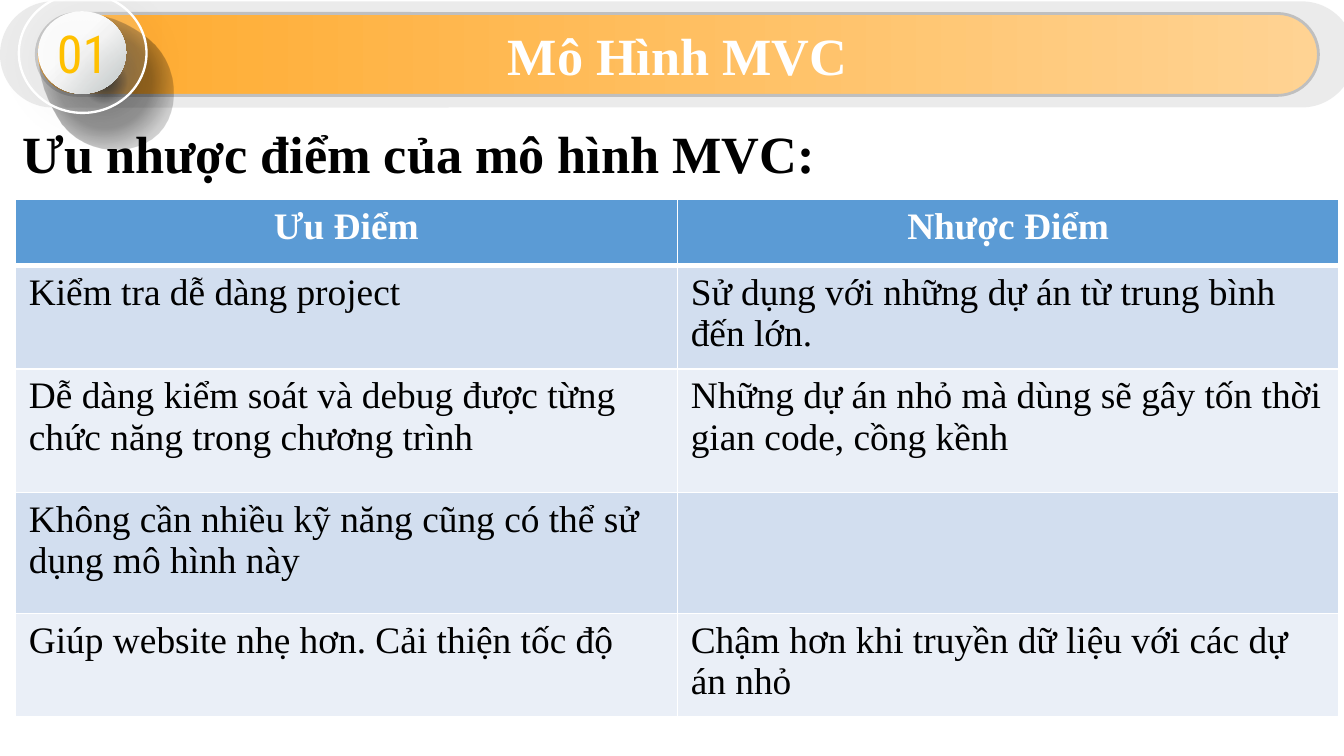
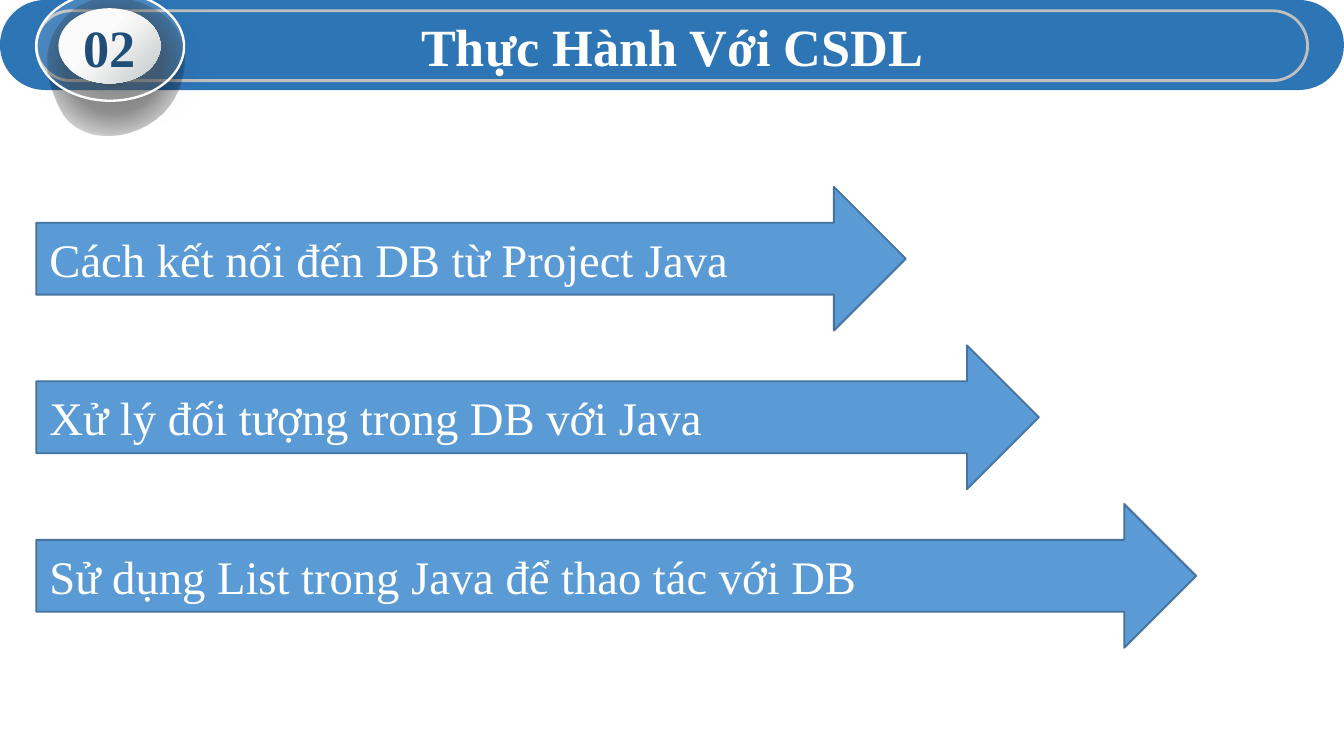
from pptx import Presentation
from pptx.dml.color import RGBColor
from pptx.enum.shapes import MSO_SHAPE
from pptx.enum.text import MSO_ANCHOR, PP_ALIGN
from pptx.oxml.ns import qn
from pptx.util import Inches, Pt
from lxml.etree import SubElement

WHITE = RGBColor(0xFF, 0xFF, 0xFF)
BLACK = RGBColor(0x00, 0x00, 0x00)
SILVER = RGBColor(0xBF, 0xBF, 0xBF)
PALE = RGBColor(0xD9, 0xD9, 0xD9)
PEARL = RGBColor(0xF7, 0xF7, 0xF7)
STEEL = RGBColor(0xB8, 0xC0, 0xC0)
SHADE = RGBColor(0x49, 0x49, 0x49)
ORANGE = RGBColor(0xFF, 0xAA, 0x2D)
PEACH = RGBColor(0xFF, 0xD3, 0x93)
GOLD = RGBColor(0xFF, 0xC0, 0x00)
BLUE = RGBColor(0x2E, 0x75, 0xB6)
NAVY = RGBColor(0x1F, 0x4E, 0x79)
SKY = RGBColor(0x5B, 0x9B, 0xD5)
SLATE = RGBColor(0x43, 0x73, 0x9E)
BANDS = (RGBColor(0xD2, 0xDE, 0xEF), RGBColor(0xEA, 0xEF, 0xF7))

SERIF = "Times New Roman"
COLS, ROWS = 100, 56.25
UNIT = Inches(0.1)

HEADING = {"name": SERIF, "size": Pt(28), "bold": True}
BODY = {"name": SERIF, "size": Pt(20), "bold": False}
STEP = {"name": SERIF, "size": Pt(25)}

HALO_STOPS = [(0, BLACK, 100), (17, BLACK, 46), (34, BLACK, 43), (51, BLACK, 20),
              (65, BLACK, 10), (78, BLACK, 5), (100, BLACK, 0)]
BASE_STOPS = [(0, WHITE, 100), (43, PEARL, 100), (100, STEEL, 100)]
FACE_STOPS = [(11, WHITE, 100), (39, WHITE, 100), (53, PEARL, 100), (100, STEEL, 100)]
HALO_START = (0, 0.5)
HALO_CURVES = [((0.07, 0.23), (0.23, 0), (0.51, 0)),
               ((0.77, 0), (0.96, 0.23), (1, 0.5)),
               ((1.04, 0.77), (0.77, 1), (0.51, 1)),
               ((0.24, 1), (-0.04, 0.77), (0, 0.5))]

PROS_CONS = [
    ("Ưu Điểm", "Nhược Điểm"),
    ("Kiểm tra dễ dàng project", "Sử dụng với những dự án từ trung bình đến lớn."),
    ("Dễ dàng kiểm soát và debug được từng chức năng trong chương trình",
     "Những dự án nhỏ mà dùng sẽ gây tốn thời gian code, cồng kềnh"),
    ("Không cần nhiều kỹ năng cũng có thể sử dụng mô hình này", ""),
    ("Giúp website nhẹ hơn. Cải thiện tốc độ",
     "Chậm hơn khi truyền dữ liệu với các dự án nhỏ"),
]
ROW_HEIGHTS = (4.9, 7.7, 9.2, 9, 7.6)
STEPS = [("Cách kết nối đến DB từ Project Java", 64.7),
         ("Xử lý đối tượng trong DB với Java", 74.6),
         ("Sử dụng List trong Java để thao tác với DB", 86.3)]


def grid(*cells):
    """Turn grid columns and rows into lengths."""
    return [round(c * UNIT) for c in cells]


def within(box, x, y, w, h):
    """Return the part of a box given by shares of its size."""
    left, top, width, height = box
    return left + x * width, top + y * height, w * width, h * height


def add_color(parent, color, alpha=100):
    """Append a colour with an opacity in percent."""
    clr = SubElement(parent, qn("a:srgbClr"), val=str(color))
    if alpha < 100:
        SubElement(clr, qn("a:alpha"), val=str(alpha * 1000))


def paint(sp, fill, angle=0, line=None, width=1, alpha=100):
    """Set a solid or gradient fill, the outline and no shadow."""
    sp.shadow.inherit = False
    if isinstance(fill, list):
        sp.fill.gradient()
        sp.fill.gradient_angle = (360 - angle) % 360
        stops = sp._element.spPr.find(qn("a:gradFill")).find(qn("a:gsLst"))
        stops.clear()
        for pos, color, opacity in fill:
            add_color(SubElement(stops, qn("a:gs"), pos=str(pos * 1000)), color, opacity)
    else:
        sp.fill.solid()
        sp.fill.fore_color.rgb = fill
        if alpha < 100:
            solid = sp._element.spPr.find(qn("a:solidFill"))
            solid.clear()
            add_color(solid, fill, alpha)
    if line is None:
        sp.line.fill.background()
    else:
        sp.line.color.rgb = line
        sp.line.width = Pt(width)


def make_radial(sp):
    """Turn a linear gradient into one that spreads from the centre."""
    grad = sp._element.spPr.find(qn("a:gradFill"))
    grad.remove(grad.find(qn("a:lin")))
    radial = SubElement(grad, qn("a:path"), {"path": "circle"})
    SubElement(radial, qn("a:fillToRect"), {side: "50000" for side in "ltrb"})


def cast_shadow(sp, color, alpha, blur, dist):
    """Give a shape an outer shadow towards the lower right."""
    effects = sp._element.spPr.find(qn("a:effectLst"))
    shadow = SubElement(effects, qn("a:outerShdw"), blurRad=str(Pt(blur)),
                        dist=str(Pt(dist)), dir=str(45 * 60000), rotWithShape="0")
    add_color(shadow, color, alpha)


def write(tf, text, color, style, align=PP_ALIGN.LEFT, anchor=MSO_ANCHOR.MIDDLE):
    """Write one formatted paragraph."""
    tf.vertical_anchor = anchor
    p = tf.paragraphs[0]
    p.alignment = align
    r = p.add_run()
    r.text = text
    for key, value in style.items():
        setattr(r.font, key, value)
    r.font.color.rgb = color


def add_shape(slide, kind, box, fill, **look):
    """Add a painted preset shape."""
    sp = slide.shapes.add_shape(kind, *grid(*box))
    paint(sp, fill, **look)
    return sp


def add_text(slide, box, text, color, style, wrap=True):
    """Add a text box."""
    tf = slide.shapes.add_textbox(*grid(*box)).text_frame
    tf.word_wrap = wrap
    write(tf, text, color, style, anchor=MSO_ANCHOR.TOP)


def add_header(slide, title, outer, inner, back, fill, alpha=100):
    """Add the two rounded bars and lay the slide title over them."""
    bars = (add_shape(slide, MSO_SHAPE.ROUNDED_RECTANGLE, outer, back, alpha=alpha),
            add_shape(slide, MSO_SHAPE.ROUNDED_RECTANGLE, inner, fill, line=SILVER, width=1.5))
    for bar in bars:
        bar.adjustments[0] = 0.5
    sp = slide.shapes.title
    sp.left, sp.top, sp.width, sp.height = grid(*inner)
    write(sp.text_frame, title, WHITE, HEADING, PP_ALIGN.CENTER)
    slide.shapes._spTree.append(sp._element)


def add_halo(slide, box, steps=12):
    """Add the soft curved shade behind a badge."""
    points, start = [], HALO_START
    for c1, c2, end in HALO_CURVES:
        for i in range(1, steps + 1):
            t = i / steps
            u = 1 - t
            points.append([u ** 3 * a + 3 * u * u * t * b + 3 * u * t * t * c + t ** 3 * d
                           for a, b, c, d in zip(start, c1, c2, end)])
        start = end
    spots = [grid(*within(box, x, y, 0, 0)[:2]) for x, y in points]
    builder = slide.shapes.build_freeform(*spots[-1])
    builder.add_line_segments(spots, close=True)
    sp = builder.convert_to_shape()
    paint(sp, HALO_STOPS)
    make_radial(sp)
    sp.rotation = 315


def add_badge(slide, ring, halo_left, halo_top):
    """Add the round number badge and return its outer ring."""
    add_halo(slide, within(ring, halo_left, halo_top, 0.95, 1.25))
    base = add_shape(slide, MSO_SHAPE.OVAL, within(ring, 0.23, 0.25, 0.58, 0.58),
                     BASE_STOPS, angle=45)
    cast_shadow(base, SHADE, 30, 11, 7)
    add_shape(slide, MSO_SHAPE.OVAL, within(ring, 0.15, 0.15, 0.69, 0.69),
              FACE_STOPS, angle=45)
    sp = add_shape(slide, MSO_SHAPE.OVAL, ring, WHITE, alpha=14, line=WHITE, width=1.25)
    cast_shadow(sp, BLACK, 11, 17, 7)
    return sp


def set_borders(cell, bottom):
    """Draw white borders around a cell."""
    tc_pr = cell._tc.get_or_add_tcPr()
    for i, (side, width) in enumerate((("L", 1), ("R", 1), ("T", 1), ("B", bottom))):
        ln = SubElement(tc_pr, qn(f"a:ln{side}"), w=str(Pt(width)))
        add_color(SubElement(ln, qn("a:solidFill")), WHITE)
        tc_pr.insert(i, ln)


def add_table(slide, left, top, width, heights, rows):
    """Add a table with a header row and banded body rows."""
    box = grid(left, top, width, sum(heights))
    table = slide.shapes.add_table(len(rows), len(rows[0]), *box).table
    for i, (height, texts) in enumerate(zip(heights, rows)):
        table.rows[i].height = grid(height)[0]
        head = i == 0
        for j, text in enumerate(texts):
            cell = table.cell(i, j)
            cell.fill.solid()
            cell.fill.fore_color.rgb = SKY if head else BANDS[(i - 1) % 2]
            set_borders(cell, 3 if head else 1)
            if text:
                write(cell.text_frame, text, WHITE if head else BLACK,
                      {**BODY, "bold": head},
                      PP_ALIGN.CENTER if head else PP_ALIGN.LEFT, MSO_ANCHOR.TOP)


def add_arrows(slide, left, top, pitch, height, steps):
    """Add a column of labelled arrows that grow in length."""
    for i, (text, width) in enumerate(steps):
        sp = add_shape(slide, MSO_SHAPE.RIGHT_ARROW, (left, top + i * pitch, width, height),
                       SKY, line=SLATE)
        write(sp.text_frame, text, WHITE, STEP)


def build_mvc(slide):
    """Build the slide on the strengths and weaknesses of MVC."""
    add_header(slide, "Mô Hình MVC", (0, 0.1, 100.8, 7.9), (2.7, 1, 95.4, 6.1),
               PALE, [(0, ORANGE, 100), (100, PEACH, 100)], alpha=50)
    ring = add_badge(slide, (1.4, -0.5, 9.5, 8.9), 0.2, 0.11)
    ring.text_frame.word_wrap = False
    write(ring.text_frame, "01", GOLD, {"name": "Roboto Condensed", "size": Pt(28)},
          PP_ALIGN.CENTER)
    add_text(slide, (0.7, 8.5, 61.6, 5.7), "Ưu nhược điểm của mô hình MVC:", BLACK,
             HEADING, wrap=False)
    add_table(slide, 1.15, 14.85, 98.5, ROW_HEIGHTS, PROS_CONS)


def build_database(slide):
    """Build the slide on database practice."""
    add_header(slide, "Thực Hành Với CSDL", (0, 0, COLS, 6.7), (2.7, 0.8, 94.6, 5.2),
               BLUE, BLUE)
    add_badge(slide, (2.7, -0.6, 11, 8.1), 0.05, 0.05)
    add_text(slide, (5.25, 0.65, 6.3, 4.3), "02", NAVY, HEADING)
    add_arrows(slide, 2.7, 13.9, 11.8, 10.7, STEPS)


def main():
    """Build and save the presentation."""
    prs = Presentation()
    prs.slide_width, prs.slide_height = grid(COLS, ROWS)
    for build in (build_mvc, build_database):
        build(prs.slides.add_slide(prs.slide_layouts[5]))
    prs.save("out.pptx")


if __name__ == "__main__":
    main()
